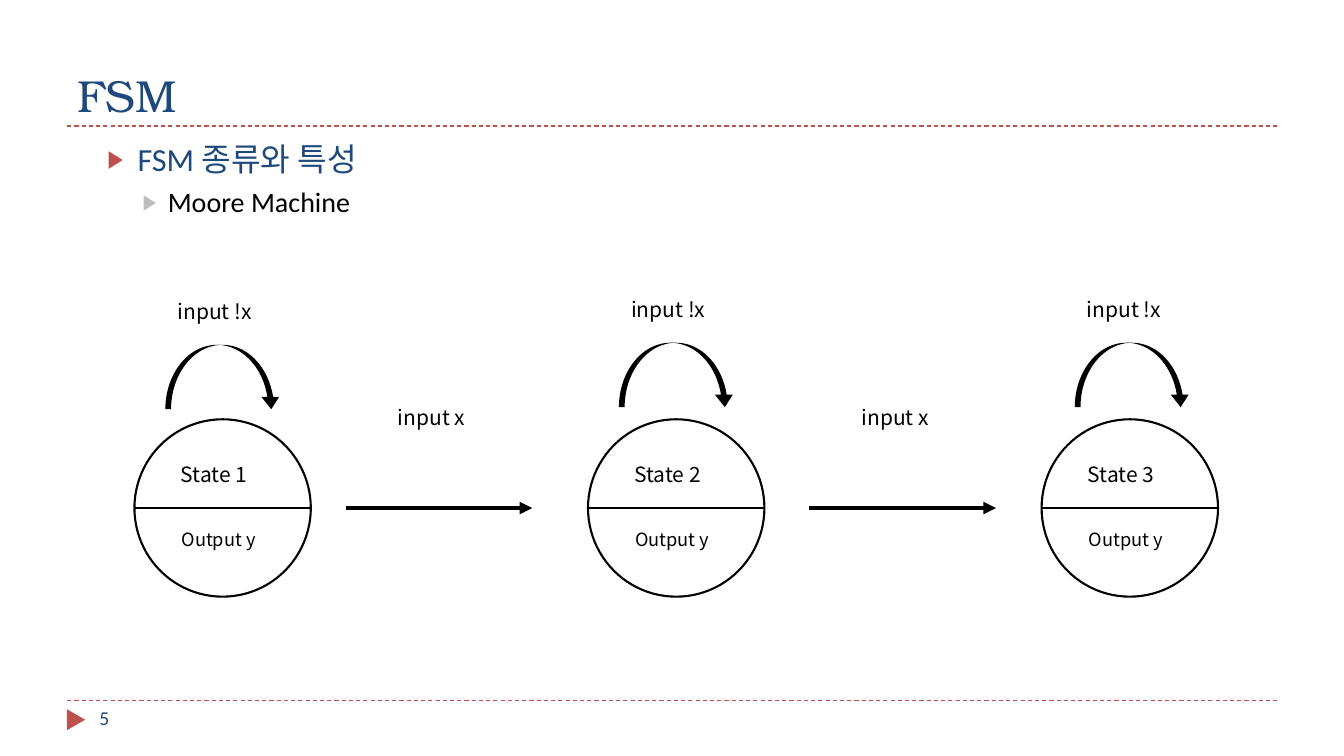
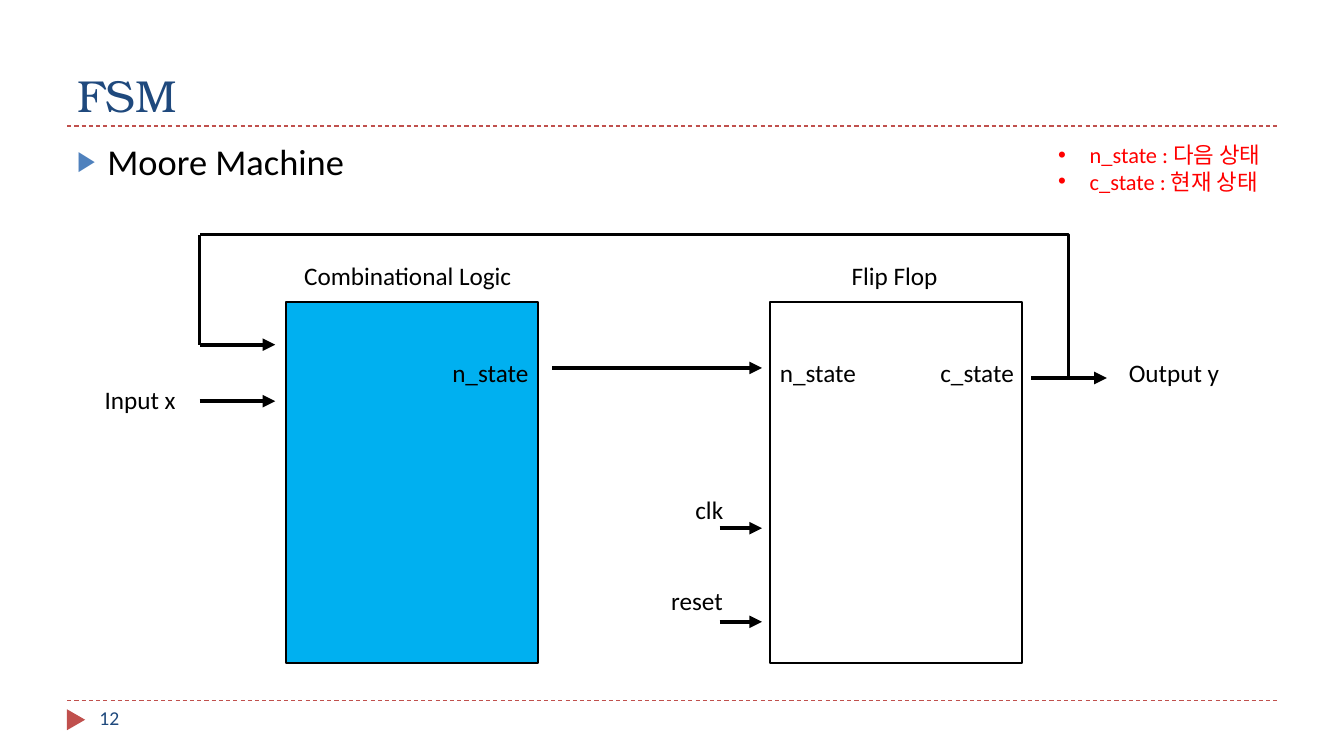
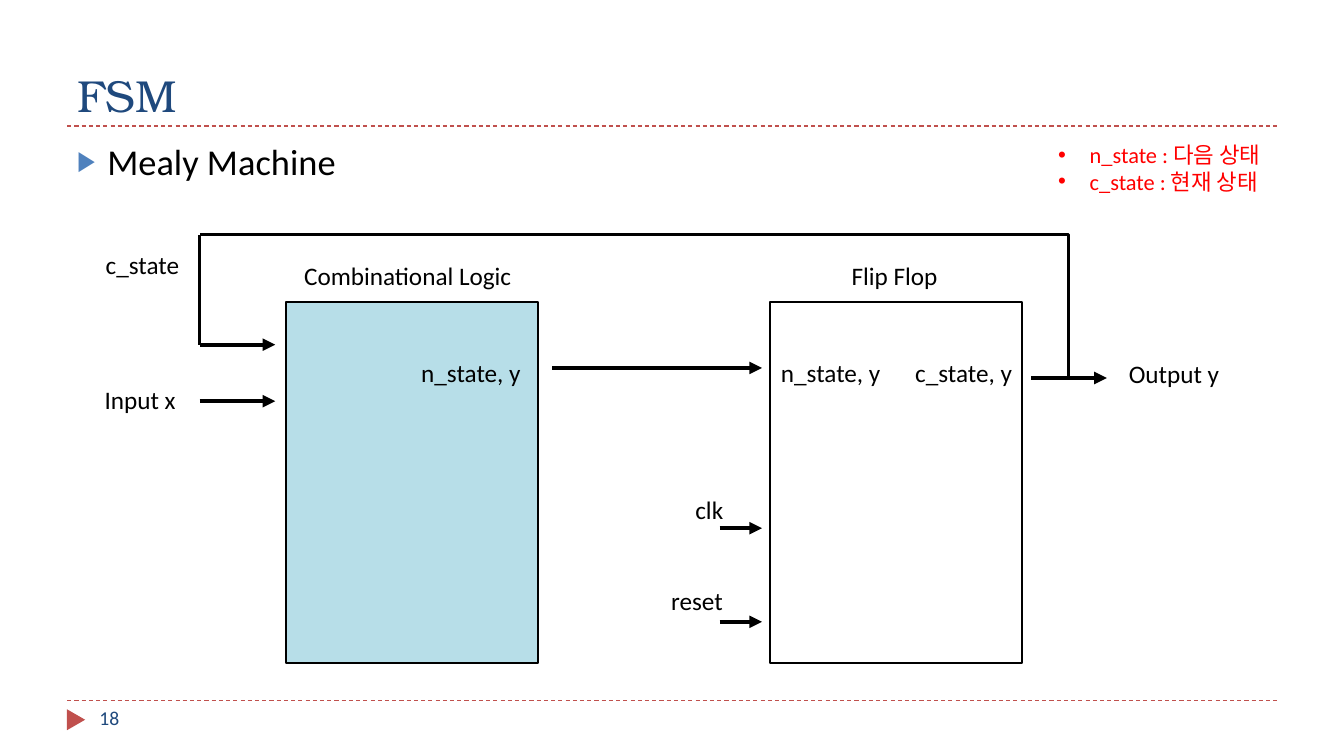
from lxml import etree
from pptx import Presentation
from pptx.dml.color import RGBColor
from pptx.enum import dml, shapes, text
from pptx.oxml.ns import qn
from pptx.util import Pt

COLORS = dict(black="000000", white="FFFFFF", navy="1F497D", brick="C0504D", blue="4F81BD",
              gray="BDBDBD", red="FF0000", sky="00B0F0", pale="B7DEE8")
SANS, KOREAN, SERIF = "Calibri", "Noto Sans CJK KR", "TeX Gyre Bonum"

# Content: outline levels, states and block diagrams
OUTLINE = [  # text, size, colour, bullet colour, left margin, hanging, space before
    ("FSM 종류와 특성", 23, "navy", "brick", 43.2, 21.6, 5),
    ("Moore Machine", 20, "black", "gray", 64.8, 18, 5),
]
STATES = [("State 1", 0, 1.5), ("State 2", 0, 0), ("State 3", 1.6, 0)]  # name, loop shift
LEGEND = ["n_state : 다음 상태", "c_state : 현재 상태"]
MACHINES = [
    dict(number="12", name="Moore Machine", fill="sky", labels=[
        ("n_state", 316, 252, 72), ("n_state", 550, 252, 72),
        ("c_state", 664.6, 252, 72), ("Output y", 799.2, 252, 93.6)]),
    dict(number="18", name="Mealy Machine", fill="pale", labels=[
        ("n_state, y", 293.8, 252, 96.5), ("n_state, y", 550.8, 252, 96.5),
        ("c_state, y", 646.6, 252, 98), ("Output y", 799.2, 252.7, 93.6),
        ("c_state", 68.4, 174.2, 72)]),
]
LABELS = [  # text, left, top, width
    ("Combinational Logic", 210.2, 182.2, 168.5), ("Flip Flop", 601.2, 182.2, 77.8),
    ("Input x", 67.7, 270.7, 72), ("clk", 489.6, 349.2, 42.5), ("reset", 472.3, 414.7, 69.1)]
ARROWS = [  # from x, to x, y
    (394.6, 544.3, 262.8), (736.6, 790.6, 270), (142.6, 196.6, 286.6),
    (142.6, 196.6, 246.2), (514.1, 544.3, 377.3), (514.1, 544.3, 444.2)]


def rgb(name):
    return RGBColor.from_string(COLORS[name])


def add_text(s, box, lines, size=18, font=SANS, color="black", grow=True,
             anchor=text.MSO_ANCHOR.TOP):
    tf = s.shapes.add_textbox(*map(Pt, box)).text_frame
    tf.word_wrap = True
    tf.vertical_anchor = anchor
    tf.auto_size = text.MSO_AUTO_SIZE.SHAPE_TO_FIT_TEXT if grow else text.MSO_AUTO_SIZE.NONE
    for i, line in enumerate(lines):
        p = tf.paragraphs[0] if i == 0 else tf.add_paragraph()
        add_run(p, line, size, font, color)
    return tf


def add_run(p, words, size, font, color):
    r = p.add_run()
    r.text = words
    r.font.size, r.font.name = Pt(size), font
    r.font.color.rgb = rgb(color)
    etree.SubElement(r.font._element, qn("a:ea"), typeface=KOREAN)


def set_bullet(p, char, margin, hanging, color=None, percent=100):
    pPr = p._p.get_or_add_pPr()
    pPr.set("marL", str(Pt(margin)))
    pPr.set("indent", str(-Pt(hanging)))
    if color:
        clr = etree.SubElement(pPr, qn("a:buClr"))
        etree.SubElement(clr, qn("a:srgbClr"), val=COLORS[color])
    etree.SubElement(pPr, qn("a:buSzPct"), val=str(percent * 1000))
    etree.SubElement(pPr, qn("a:buFont"), typeface="Arial")
    etree.SubElement(pPr, qn("a:buChar"), char=char)


def add_line(s, x1, y1, x2, y2, width, color="black", arrow=False, dash=False,
             kind=shapes.MSO_CONNECTOR.STRAIGHT):
    c = s.shapes.add_connector(kind, Pt(x1), Pt(y1), Pt(x2), Pt(y2))
    c.line.color.rgb = rgb(color)
    c.line.width = Pt(width)
    if dash:
        c.line.dash_style = dml.MSO_LINE.DASH
    spPr = c.element.spPr
    if arrow:
        etree.SubElement(spPr.find(qn("a:ln")), qn("a:tailEnd"), type="triangle")
    etree.SubElement(spPr, qn("a:effectLst"))
    return c


def add_shape(s, kind, box, fill=None, line=None):
    sp = s.shapes.add_shape(kind, *map(Pt, box))
    sp.shadow.inherit = False
    if fill:
        sp.fill.solid()
        sp.fill.fore_color.rgb = rgb(fill)
    else:
        sp.fill.background()
    if line:
        sp.line.color.rgb = rgb(line)
        sp.line.width = Pt(1.5)
    else:
        sp.line.fill.background()
    return sp


def new_slide(prs, number, outline):
    """Rules, page marker, title, outline and page number."""
    s = prs.slides.add_slide(prs.slide_layouts[6])
    for y in (500.4, 90):
        add_line(s, 48, y, 912, y, 0.75, "brick", dash=True)
    marker = add_shape(s, shapes.MSO_SHAPE.ISOSCELES_TRIANGLE, (46.8, 507.6, 15, 13), "brick")
    marker.rotation = 90
    add_text(s, (48, 12, 864, 78), ["FSM"], 32, SERIF, "navy", False, text.MSO_ANCHOR.BOTTOM)
    tf = add_text(s, (48, 96, 864, 389), [], grow=False)
    for i, (words, size, color, bullet, margin, hanging, before) in enumerate(outline):
        p = tf.paragraphs[0] if i == 0 else tf.add_paragraph()
        p.space_before = Pt(before)
        set_bullet(p, "▶", margin, hanging, bullet, 76)
        add_run(p, words, size, SANS, color)
    add_text(s, (64, 500.4, 208, 29), [number], 14, color="navy", grow=False)
    return s


def state_slide(prs):
    s = new_slide(prs, "5", OUTLINE)
    diameter, top, middle = 126, 299.5, 362.9
    for i, (name, dx, dy) in enumerate(STATES):
        x = 96 + 324 * i
        # State circle
        add_shape(s, shapes.MSO_SHAPE.OVAL, (x, top, diameter, 126.7), line="black")
        add_line(s, x, middle, x + diameter, middle, 1.5)
        add_text(s, (x + 26, 326.2, 79, 25), [name], 15, KOREAN)
        add_text(s, (x + 26.6, 373.7, 78.5, 23), ["Output y"], 13, KOREAN)
        # Loop back to the same state
        loop = add_shape(s, shapes.MSO_SHAPE.CURVED_DOWN_ARROW,
                         (x + 22.1 + dx, 244.8 + dy, 82, 46), "black")
        for k, value in enumerate((0.089, 0.276, 0.192)):
            loop.adjustments[k] = value
        add_text(s, (x + 23.7 + dx, 208.2 + dy, 77.8, 25), ["input !x"], 15, KOREAN)
    # Transitions
    for i in range(len(STATES) - 1):
        x = 247 + 331.2 * i
        add_line(s, x, middle, x + 133.2, middle, 3, arrow=True)
        add_text(s, (x + 30.2, 285.1, 72, 25), ["input x"], 15, KOREAN)


def machine_slide(prs, machine):
    heading = (machine["name"], 26, "black", "blue", 21.6, 21.6, 6)
    s = new_slide(prs, machine["number"], [heading])
    # Blocks
    for x, fill in ((204.5, machine["fill"]), (550.1, "white")):
        add_shape(s, shapes.MSO_SHAPE.RECTANGLE, (x, 216, 180, 257.8), fill, "black")
    # Signals and feedback path
    for x1, x2, y in ARROWS:
        add_line(s, x1, y, x2, y, 3, arrow=True)
    bend = add_line(s, 760.3, 270, 142.6, 167.8, 2.25, kind=shapes.MSO_CONNECTOR.ELBOW)
    guides = bend.element.spPr.find(qn("a:prstGeom")).get_or_add_avLst()
    etree.SubElement(guides, qn("a:gd"), name="adj1", fmla="val -500")
    add_line(s, 142.6, 167.8, 142.6, 246.2, 2.25)
    # Labels and legend
    for words, x, y, width in LABELS + machine["labels"]:
        add_text(s, (x, y, width, 29), [words])
    tf = add_text(s, (748.8, 97.2, 193.7, 46), LEGEND, 16, color="red")
    for p in tf.paragraphs:
        set_bullet(p, "•", 22.5, 22.5)


def main():
    prs = Presentation()
    prs.slide_width, prs.slide_height = Pt(960), Pt(540)
    state_slide(prs)
    for machine in MACHINES:
        machine_slide(prs, machine)
    prs.save("out.pptx")


if __name__ == "__main__":
    main()
